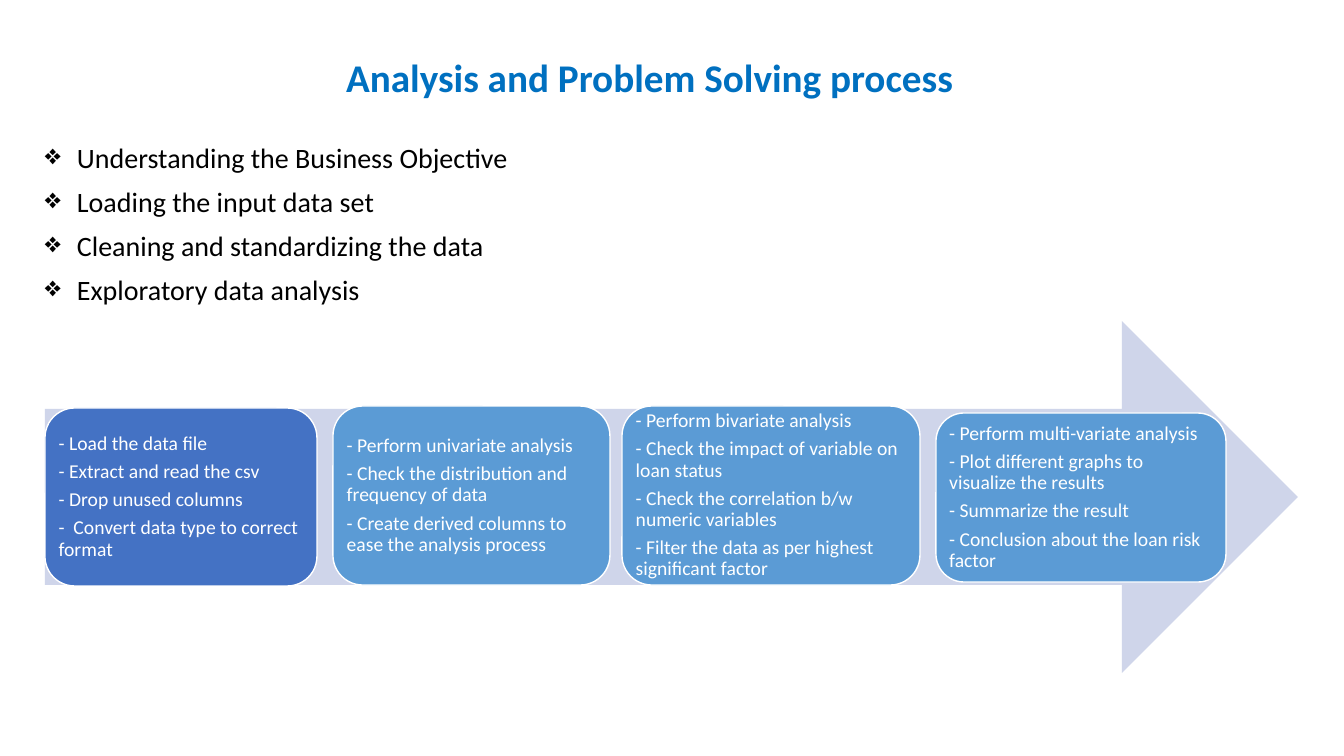
from lxml.etree import SubElement
from pptx import Presentation
from pptx.dml.color import RGBColor
from pptx.enum.shapes import MSO_SHAPE
from pptx.enum.text import MSO_ANCHOR, PP_ALIGN
from pptx.oxml.ns import qn
from pptx.util import Emu, Pt

COLORS = {
    "title": "0070C0",
    "body": "000000",
    "arrow": "CFD5EA",
    "loading": "4472C4",
    "analysis": "5B9BD5",
    "white": "FFFFFF",
}
FONT = "Calibri"
BULLET_INDENT = 32
STEP_INSET = 5

OBJECTIVES = [
    "Understanding the Business Objective",
    "Loading the input data set",
    "Cleaning and standardizing the data",
    "Exploratory data analysis",
]
STEPS = [
    ((45, 408, 272, 178), "loading", [
        "- Load the data file",
        "- Extract and read the csv",
        "- Drop unused columns",
        "-  Convert data type to correct format",
    ]),
    ((333, 406, 277, 179), "analysis", [
        "- Perform univariate analysis",
        "- Check the distribution and frequency of data",
        "- Create derived columns to ease the analysis process",
    ]),
    ((622, 406, 298, 179), "analysis", [
        "- Perform bivariate analysis",
        "- Check the impact of variable on loan status",
        "- Check the correlation b/w numeric variables",
        "- Filter the data as per highest significant factor",
    ]),
    ((936, 413, 290, 169), "analysis", [
        "- Perform multi-variate analysis",
        "- Plot different graphs to visualize the results",
        "- Summarize the result",
        "- Conclusion about the loan risk factor",
    ]),
]


def px(length):
    return Emu(round(length * 914400 / 100.8))


def color(name):
    return RGBColor.from_string(COLORS[name])


def style_run(run, size, color_name, bold=False):
    run.font.name = FONT
    run.font.size = Pt(size)
    run.font.bold = bold
    run.font.color.rgb = color(color_name)


def write_paragraphs(frame, lines, size, color_name):
    frame.word_wrap = True
    frame.text = "\n".join(lines)
    for paragraph in frame.paragraphs:
        paragraph.alignment = PP_ALIGN.LEFT
        paragraph.line_spacing = 0.9
        style_run(paragraph.runs[0], size, color_name)


def add_text_area(slide, box):
    frame = slide.shapes.add_textbox(*map(px, box)).text_frame
    frame.word_wrap = True
    return frame


def add_title(slide, box, title):
    frame = add_text_area(slide, box)
    frame.vertical_anchor = MSO_ANCHOR.MIDDLE
    heading = frame.paragraphs[0]
    heading.text = " "
    heading.add_run().text = title
    heading.alignment = PP_ALIGN.CENTER
    heading.line_spacing = 0.9
    for run, size in zip(heading.runs, (44, 28)):
        style_run(run, size, "title", bold=True)


def add_objectives(slide, box, objectives):
    frame = add_text_area(slide, box)
    write_paragraphs(frame, objectives, 20, "body")
    for objective in frame.paragraphs:
        objective.space_before = Pt(10)
        properties = objective._p.get_or_add_pPr()
        properties.set("marL", str(px(BULLET_INDENT)))
        properties.set("indent", str(-px(BULLET_INDENT)))
        SubElement(properties, qn("a:buChar"), char="❖")


def add_filled_shape(slide, kind, box, fill):
    shape = slide.shapes.add_shape(kind, *map(px, box))
    shape.shadow.inherit = False
    shape.fill.solid()
    shape.fill.fore_color.rgb = color(fill)
    shape.line.fill.background()
    return shape


def add_step(slide, box, fill, tasks):
    step = add_filled_shape(slide, MSO_SHAPE.ROUNDED_RECTANGLE, box, fill)
    step.line.color.rgb = color("white")
    step.line.width = Pt(1)
    frame = step.text_frame
    frame.vertical_anchor = MSO_ANCHOR.MIDDLE
    frame.margin_left = frame.margin_right = px(STEP_INSET)
    frame.margin_top = frame.margin_bottom = px(STEP_INSET)
    write_paragraphs(frame, tasks, 14, "white")
    for task in frame.paragraphs:
        task.space_after = Pt(5)


def main():
    deck = Presentation()
    deck.slide_width, deck.slide_height = px(1344), px(756)
    slide = deck.slides.add_slide(deck.slide_layouts[6])
    add_title(slide, (129, 25, 1027, 95), "Analysis and Problem Solving process")
    add_objectives(slide, (35, 139, 1231, 544), OBJECTIVES)
    add_filled_shape(slide, MSO_SHAPE.RIGHT_ARROW, (45, 321, 1253, 352), "arrow")
    for box, fill, tasks in STEPS:
        add_step(slide, box, fill, tasks)
    deck.save("out.pptx")


if __name__ == "__main__":
    main()
